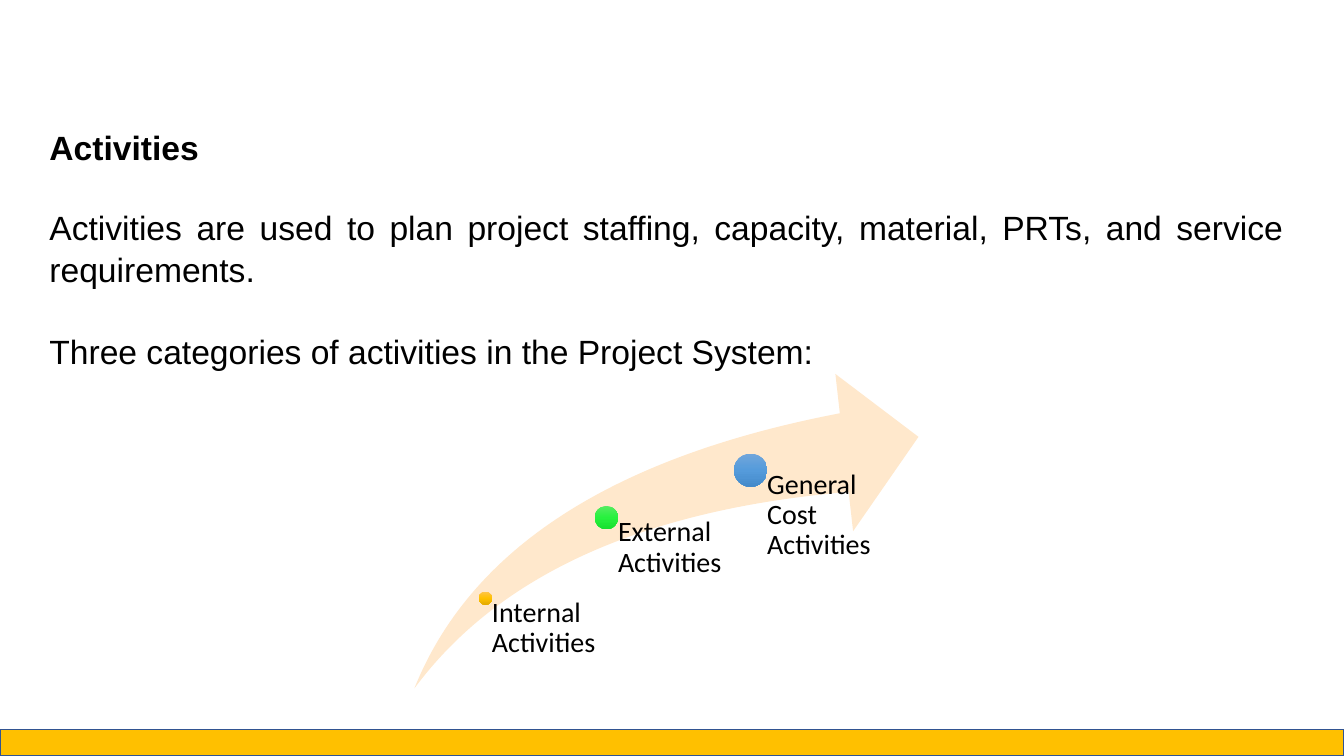
import copy

import pptx
import pptx.dml.color
import pptx.enum.shapes
import pptx.enum.text
import pptx.oxml.ns
import pptx.util
from pptx.util import Inches

RGBColor = pptx.dml.color.RGBColor
MSO_SHAPE = pptx.enum.shapes.MSO_SHAPE
MSO_ANCHOR = pptx.enum.text.MSO_ANCHOR

BLACK = RGBColor(0x00, 0x00, 0x00)
GOLD = RGBColor(0xFF, 0xC0, 0x00)
NAVY = RGBColor(0x32, 0x54, 0x91)
PEACH = RGBColor(0xFF, 0xE8, 0xCC)
GOLD_SHADES = [RGBColor(0xFF, 0xC6, 0x4B), GOLD, RGBColor(0xE3, 0xAB, 0x00)]
GREEN_SHADES = [RGBColor(0x56, 0xEC, 0x62), RGBColor(0x27, 0xF1, 0x3E), RGBColor(0x18, 0xE0, 0x2F)]
BLUE_SHADES = [RGBColor(0x71, 0xA6, 0xDB), RGBColor(0x55, 0x9B, 0xDB), RGBColor(0x44, 0x8A, 0xCA)]

MILESTONES = [
    ("Internal Activities", 4.75, 5.87, 0.13, 1.17, GOLD_SHADES),
    ("External Activities", 5.9, 5.02, 0.23, 1.2, GREEN_SHADES),
    ("General Cost Activities", 7.28, 4.5, 0.33, 1.2, BLUE_SHADES),
]
DIAGRAM_BOTTOM = 6.84


def place(shape, left, top, width, height):
    shape.left, shape.top = Inches(left), Inches(top)
    shape.width, shape.height = Inches(width), Inches(height)


def format_text(para, font_name, size, line_spacing):
    para.line_spacing = line_spacing
    para.font.name = font_name
    para.font.size = pptx.util.Pt(size)
    para.font.color.rgb = BLACK


deck = pptx.Presentation()
deck.slide_width = Inches(13.33)
deck.slide_height = Inches(7.5)
page = deck.slides.add_slide(deck.slide_layouts[1])

footer = page.shapes.add_shape(
    MSO_SHAPE.RECTANGLE, Inches(0), Inches(7.24), Inches(13.33), Inches(0.26))
footer.shadow.inherit = False
footer.fill.solid()
footer.fill.fore_color.rgb = GOLD
footer.line.color.rgb = NAVY
footer.line.width = pptx.util.Pt(1)

title = page.shapes.title
body = page.placeholders[1]
place(title, 0.39, 1.19, 12.44, 0.5)
place(body, 0.39, 1.99, 12.44, 2.13)
title.text_frame.text = "Activities"
body.text_frame.text = (
    "Activities are used to plan project staffing, capacity, material, PRTs, and service requirements.\n"
    "Three categories of activities in the Project System:")
for holder in (title, body):
    frame = holder.text_frame
    frame.word_wrap = True
    frame.auto_size = pptx.enum.text.MSO_AUTO_SIZE.NONE
    frame.vertical_anchor = MSO_ANCHOR.TOP
    for index, para in enumerate(frame.paragraphs):
        properties = para._p.get_or_add_pPr()
        properties.set("marL", "0")
        properties.set("indent", "0")
        properties.append(pptx.oxml.parse_xml(
            f'<a:buNone {pptx.oxml.ns.nsdecls("a")}/>'))
        para.alignment = pptx.enum.text.PP_ALIGN.JUSTIFY
        para.space_before = pptx.util.Pt(28.8 if index else 0)
        format_text(para, "Arial", 24, 1.04)
        para.font.bold = holder is title

diagram = page.shapes.add_group_shape()
arrow = diagram.shapes.add_shape(
    MSO_SHAPE.SWOOSH_ARROW, Inches(4.11), Inches(3.71), Inches(5), Inches(3.12))
arrow.adjustments[0] = 0.25
arrow.adjustments[1] = 0.25
arrow.shadow.inherit = False
arrow.fill.solid()
arrow.fill.fore_color.rgb = PEACH
arrow.line.fill.background()

for label, left, top, diameter, label_width, shades in MILESTONES:
    dot = diagram.shapes.add_shape(
        MSO_SHAPE.OVAL, Inches(left), Inches(top), Inches(diameter), Inches(diameter))
    dot.shadow.inherit = False
    dot.line.fill.background()
    dot.fill.gradient()
    dot.fill.gradient_angle = 270
    stop_list = dot._element.spPr.find(".//" + pptx.oxml.ns.qn("a:gsLst"))
    stop_list.insert(1, copy.deepcopy(stop_list[0]))
    for index, (stop, shade) in enumerate(zip(dot.fill.gradient_stops, shades)):
        stop.position = index / 2
        stop.color.rgb = shade

    radius = diameter / 2
    center_x, center_y = left + radius, top + radius
    box = diagram.shapes.add_textbox(
        Inches(center_x), Inches(center_y),
        Inches(label_width), Inches(DIAGRAM_BOTTOM - center_y))
    frame = box.text_frame
    frame.word_wrap = True
    frame.vertical_anchor = MSO_ANCHOR.TOP
    frame.margin_left = Inches(radius)
    frame.margin_top = frame.margin_right = frame.margin_bottom = 0
    para = frame.paragraphs[0]
    para.text = label
    format_text(para, "Calibri", 20, 0.9)

deck.save("out.pptx")
